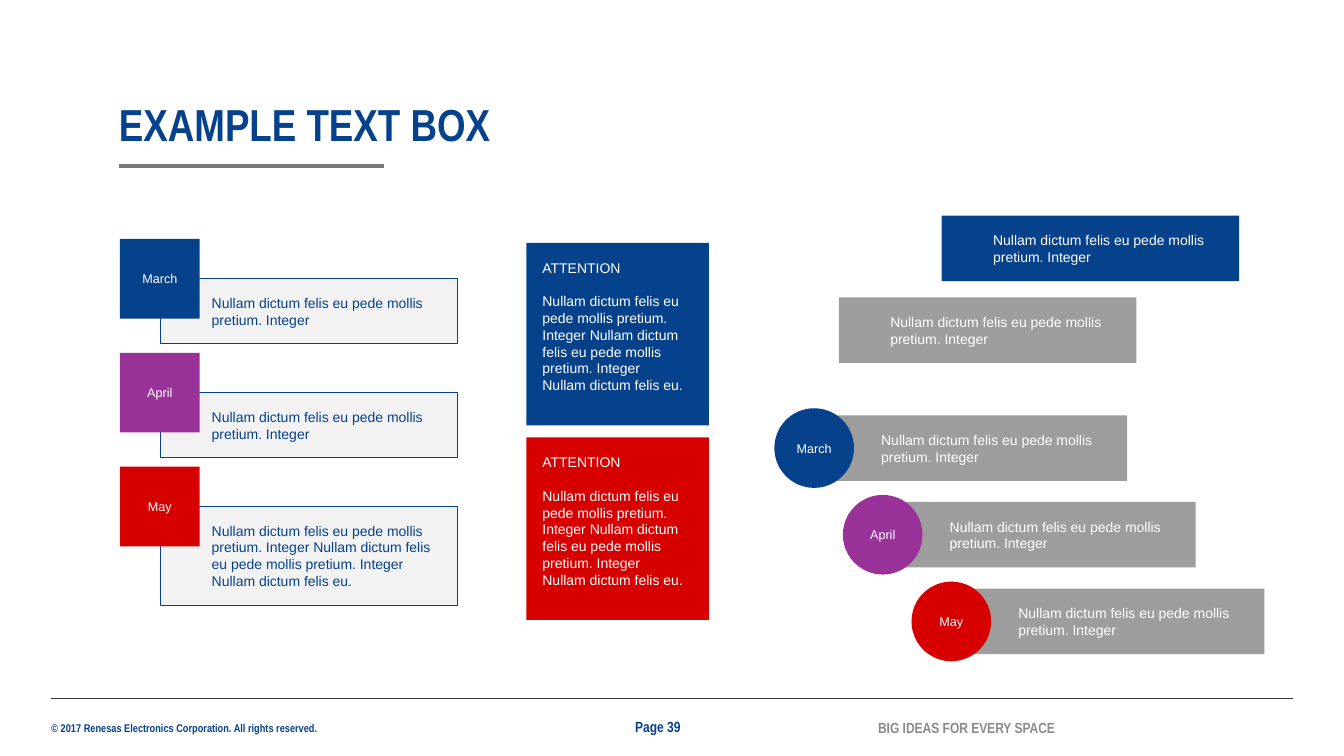
from dataclasses import dataclass

from lxml.etree import SubElement
from pptx import Presentation
from pptx.dml.color import RGBColor
from pptx.enum.shapes import MSO_CONNECTOR, MSO_SHAPE
from pptx.enum.text import MSO_ANCHOR, PP_ALIGN
from pptx.oxml.ns import qn
from pptx.util import Inches, Pt


@dataclass(frozen=True)
class Theme:
    """Colours, fonts and type sizes of the slide."""
    blue: str = "06418C"
    purple: str = "993399"
    red: str = "D70000"
    gray: str = "9D9D9D"
    pale: str = "F2F2F2"
    white: str = "FFFFFF"
    rule: str = "797979"
    footer_rule: str = "3C3C3B"
    tagline: str = "8B8B89"
    body_font: str = "Arial"
    heading_font: str = "Arial Narrow"
    title_size: float = 32
    body_size: float = 10
    badge_size: float = 9
    footer_size: float = 10.5
    copyright_size: float = 8


THEME = Theme()
SENTENCE = "Nullam dictum felis eu pede mollis pretium. Integer"
LONG_TEXT = [f"{SENTENCE} {SENTENCE}", "Nullam dictum felis eu."]
MONTHS = [("March", THEME.blue), ("April", THEME.purple), ("May", THEME.red)]
BADGE_SIDE = 0.79
CALLOUT_WIDTH, CALLOUT_HEIGHT = 2.95, 0.65
CALLOUT_INSETS = (0.51, 0.16, 0.12, 0.16)


def apply_format(target, values):
    """Set each attribute of the target from a dict of format values."""
    for name, value in values.items():
        setattr(target, name, value)


def write_text(shape, lines, font, color, insets=(0, 0, 0, 0),
               anchor=MSO_ANCHOR.TOP, wrap=True, paragraph_format=None):
    """Fill a shape with one paragraph per line and return the paragraphs."""
    frame = shape.text_frame
    sides = ("margin_left", "margin_top", "margin_right", "margin_bottom")
    apply_format(frame, dict(zip(sides, map(Inches, insets))))
    apply_format(frame, {"text": "\n".join(lines), "word_wrap": wrap,
                         "vertical_anchor": anchor})
    for paragraph in frame.paragraphs:
        apply_format(paragraph, {"alignment": PP_ALIGN.LEFT, **(paragraph_format or {})})
        apply_format(paragraph.font, font)
        paragraph.font.color.rgb = RGBColor.from_string(color)
    return frame.paragraphs


def add_block(shapes, kind, box, fill, outline=None):
    """Add a flat filled shape with an optional thin outline."""
    shape = shapes.add_shape(kind, *map(Inches, box))
    shape.shadow.inherit = False
    shape.fill.solid()
    shape.fill.fore_color.rgb = RGBColor.from_string(fill)
    if outline:
        shape.line.color.rgb = RGBColor.from_string(outline)
        shape.line.width = Pt(0.5)
    else:
        shape.line.fill.background()
    return shape


def add_rule(slide, left, top, width, color, weight):
    """Draw a horizontal line."""
    rule = slide.shapes.add_connector(
        MSO_CONNECTOR.STRAIGHT, *map(Inches, (left, top, left + width, top)))
    rule.line.color.rgb = RGBColor.from_string(color)
    rule.line.width = Pt(weight)
    SubElement(rule._element.spPr, qn("a:effectLst"))


def add_label(slide, box, text, size, color, **options):
    """Add a bold line of narrow text."""
    label = slide.shapes.add_textbox(*map(Inches, box))
    font = {"name": THEME.heading_font, "size": Pt(size), "bold": True}
    write_text(label, [text], font, color, **options)


def add_title(slide, left, top, width):
    """Place the title with its short rule below."""
    add_label(slide, (left, top, width, 0.48), "EXAMPLE TEXT BOX", THEME.title_size,
              THEME.blue, anchor=MSO_ANCHOR.BOTTOM,
              paragraph_format={"line_spacing": 0.9})
    add_rule(slide, left, top + 0.63, 2.63, THEME.rule, 3)


def add_footer(slide, left, top, width):
    """Place the footer rule, copyright, page number and tagline."""
    add_rule(slide, left, top, width, THEME.footer_rule, 0.5)
    add_label(slide, (left, top + 0.23, 2.68, 0.13),
              "© 2017 Renesas Electronics Corporation. All rights reserved.",
              THEME.copyright_size, THEME.blue, wrap=False)
    add_label(slide, (left + 5.79, top + 0.19, 0.73, 0.18), "Page 39",
              THEME.footer_size, THEME.blue, anchor=MSO_ANCHOR.MIDDLE)
    add_label(slide, (left + 8.2, top + 0.2, 1.8, 0.18), "BIG IDEAS FOR EVERY SPACE",
              THEME.footer_size, THEME.tagline, anchor=MSO_ANCHOR.MIDDLE)


def add_callout(shapes, left, top, fill, color=THEME.white, outline=None,
                lines=(SENTENCE,), height=CALLOUT_HEIGHT):
    """Add a wide text box with a deep left inset."""
    callout = add_block(shapes, MSO_SHAPE.RECTANGLE,
                        (left, top, CALLOUT_WIDTH, height), fill, outline)
    font = {"name": THEME.body_font, "size": Pt(THEME.body_size)}
    write_text(callout, lines, font, color, CALLOUT_INSETS)


def add_badge(shapes, kind, left, top, month, fill):
    """Add a month badge with centred text."""
    badge = add_block(shapes, kind, (left, top, BADGE_SIDE, BADGE_SIDE), fill)
    font = {"name": THEME.body_font, "size": Pt(THEME.badge_size)}
    write_text(badge, [month], font, THEME.white, (0.04,) * 4, MSO_ANCHOR.MIDDLE,
               paragraph_format={"alignment": PP_ALIGN.CENTER})


def add_square_column(slide, left, top):
    """Stack outlined callouts with square month badges."""
    for index, (month, fill) in enumerate(MONTHS):
        badge_top = top + 1.13 * index
        is_last = index == len(MONTHS) - 1
        extra = {"lines": LONG_TEXT, "height": 0.99} if is_last else {}
        shapes = slide.shapes.add_group_shape().shapes
        add_callout(shapes, left + 0.4, badge_top + 0.39, THEME.pale, THEME.blue,
                    THEME.blue, **extra)
        add_badge(shapes, MSO_SHAPE.RECTANGLE, left, badge_top, month, fill)


def add_attention_column(slide, left, top, side):
    """Stack two square attention boxes."""
    font = {"name": THEME.body_font, "size": Pt(THEME.body_size)}
    for index, fill in enumerate((THEME.blue, THEME.red)):
        box = (left, top + (side + 0.12) * index, side, side)
        shape = add_block(slide.shapes, MSO_SHAPE.RECTANGLE, box, fill)
        paragraphs = write_text(shape, ["ATTENTION", *LONG_TEXT], font, THEME.white,
                                (0.16, 0.16, 0.16, 0.2))
        paragraphs[1].space_before = Pt(12)


def add_plain_callouts(slide, left, top):
    """Place the two staggered callouts without badges."""
    add_callout(slide.shapes, left + 1.02, top, THEME.blue)
    add_callout(slide.shapes, left, top + 0.81, THEME.gray)


def add_round_staircase(slide, left, top):
    """Step gray callouts with round month badges to the right."""
    for index, (month, fill) in enumerate(MONTHS):
        badge_left, badge_top = left + 0.68 * index, top + 0.86 * index
        shapes = slide.shapes.add_group_shape().shapes
        add_callout(shapes, badge_left + 0.55, badge_top + 0.07, THEME.gray)
        add_badge(shapes, MSO_SHAPE.OVAL, badge_left, badge_top, month, fill)


def main():
    """Build the slide and save it."""
    presentation = Presentation()
    apply_format(presentation, {"slide_width": Inches(13.33),
                                "slide_height": Inches(7.5)})
    slide = presentation.slides.add_slide(presentation.slide_layouts[6])
    add_footer(slide, 0.51, 6.93, 12.31)
    add_title(slide, 1.18, 1.02, 9.84)
    add_plain_callouts(slide, 8.32, 2.14)
    add_round_staircase(slide, 7.68, 4.05)
    add_square_column(slide, 1.19, 2.37)
    add_attention_column(slide, 5.22, 2.41, 1.81)
    presentation.save("out.pptx")


if __name__ == "__main__":
    main()
